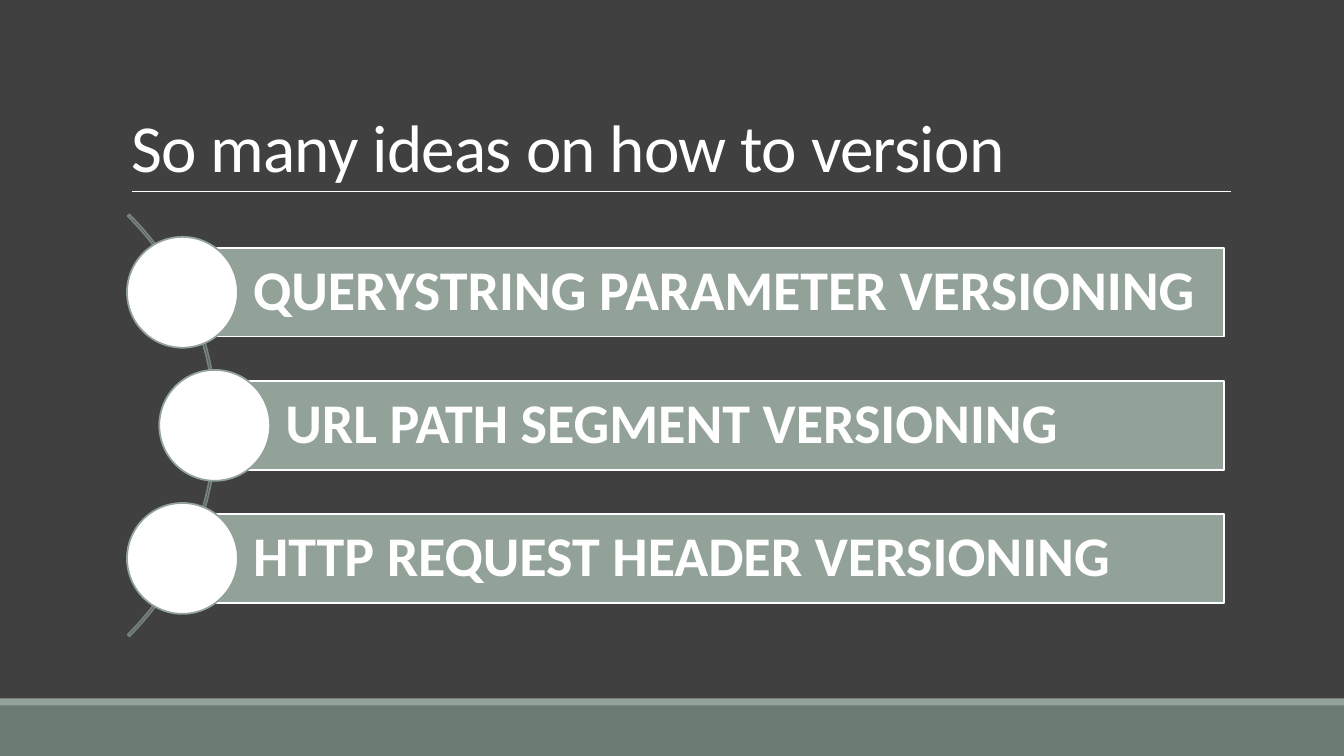
"""Build a slide that lists three ways to version an API."""
from dataclasses import dataclass

from lxml import etree
from pptx import Presentation
from pptx.dml.color import RGBColor
from pptx.enum.shapes import MSO_CONNECTOR, MSO_SHAPE
from pptx.enum.text import MSO_ANCHOR, MSO_AUTO_SIZE, PP_ALIGN
from pptx.oxml.ns import qn
from pptx.util import Inches, Pt

RECTANGLE, OVAL, BLOCK_ARC = MSO_SHAPE.RECTANGLE, MSO_SHAPE.OVAL, MSO_SHAPE.BLOCK_ARC
STRAIGHT = MSO_CONNECTOR.STRAIGHT
MIDDLE, BOTTOM = MSO_ANCHOR.MIDDLE, MSO_ANCHOR.BOTTOM
LEFT, NO_AUTOFIT = PP_ALIGN.LEFT, MSO_AUTO_SIZE.NONE

BACKGROUND, WHITE, SAGE, DARK_SAGE, ARC_GRAY = "404040", "FFFFFF", "93A299", "6B7D72", "76827B"
SLIDE_WIDTH, SLIDE_HEIGHT = 13.33, 7.5
BAR_RIGHT, BAR_HEIGHT = 12.14, 0.88
FIRST_CENTER, ROW_STEP = 2.9, 1.32
CIRCLE_SIZE = 1.1


@dataclass
class Idea:
    """A versioning idea and the horizontal center of its circle."""
    label: str
    center: float


IDEAS = [
    Idea("QUERYSTRING PARAMETER VERSIONING", 1.81),
    Idea("URL PATH SEGMENT VERSIONING", 2.13),
    Idea("HTTP REQUEST HEADER VERSIONING", 1.81),
]


def color(value: str) -> RGBColor:
    """Turn a hex string into a color."""
    return RGBColor.from_string(value)


def apply_format(target, values: dict) -> None:
    """Set each named attribute on the target."""
    for name, value in values.items():
        setattr(target, name, value)


def add_shape(slide, kind, left: float, top: float, width: float, height: float,
              fill: str | None = None, line: str | None = None):
    """Add a shadowless shape with an optional fill and outline."""
    shape = slide.shapes.add_shape(kind, Inches(left), Inches(top), Inches(width), Inches(height))
    shape.shadow.inherit = False
    if fill:
        shape.fill.solid()
        shape.fill.fore_color.rgb = color(fill)
    else:
        shape.fill.background()
    if line:
        shape.line.color.rgb = color(line)
        shape.line.width = Pt(1.25)
    else:
        shape.line.fill.background()
    return shape


def write_text(shape, text: str, frame_values: dict, line_spacing: float, font_values: dict):
    """Write one left-aligned white line of text and return its run."""
    apply_format(shape.text_frame, {"word_wrap": True, "auto_size": NO_AUTOFIT} | frame_values)
    paragraph = shape.text_frame.paragraphs[0]
    apply_format(paragraph, {"alignment": LEFT, "line_spacing": line_spacing})
    run = paragraph.add_run()
    run.text = text
    apply_format(run.font, {"name": "Calibri"} | font_values)
    run.font.color.rgb = color(WHITE)
    return run


def add_title(slide, text: str) -> None:
    """Place the title and the rule under it."""
    title = slide.shapes.title
    apply_format(title, {"left": Inches(1.2), "top": Inches(0.31),
                         "width": Inches(11), "height": Inches(1.59)})
    run = write_text(title, text, {"vertical_anchor": BOTTOM}, 0.85, {"size": Pt(48)})
    run.font._element.set("spc", "-50")
    rule = slide.shapes.add_connector(STRAIGHT, Inches(1.31), Inches(1.9), Inches(12.21), Inches(1.9))
    rule.line.color.rgb = color(WHITE)
    rule.line.width = Pt(0.5)
    etree.SubElement(rule._element.spPr, qn("a:effectLst"))


def add_arc(slide) -> None:
    """Add the thin arc that links the circles."""
    arc = add_shape(slide, BLOCK_ARC, -3.77, 1.26, 5.92, 5.92, line=ARC_GRAY)
    for index, value in enumerate((189, 27, 0.004)):
        arc.adjustments[index] = value


def add_idea(slide, idea: Idea, middle: float) -> None:
    """Add a labelled bar with a circle on its left end."""
    bar = add_shape(slide, RECTANGLE, idea.center, middle - BAR_HEIGHT / 2,
                    BAR_RIGHT - idea.center, BAR_HEIGHT, SAGE, WHITE)
    margins = {f"margin_{side}": Inches(0.11) for side in ("top", "right", "bottom")}
    write_text(bar, idea.label, margins | {"margin_left": Inches(0.7), "vertical_anchor": MIDDLE},
               0.9, {"size": Pt(40), "bold": True})
    add_shape(slide, OVAL, idea.center - CIRCLE_SIZE / 2, middle - CIRCLE_SIZE / 2,
              CIRCLE_SIZE, CIRCLE_SIZE, WHITE, SAGE)


def main() -> None:
    """Build and save the presentation."""
    presentation = Presentation()
    apply_format(presentation, {"slide_width": Inches(SLIDE_WIDTH),
                                "slide_height": Inches(SLIDE_HEIGHT)})
    slide = presentation.slides.add_slide(presentation.slide_layouts.get_by_name("Title Only"))
    slide.background.fill.solid()
    slide.background.fill.fore_color.rgb = color(BACKGROUND)
    add_shape(slide, RECTANGLE, 0, 7, SLIDE_WIDTH, 0.5, DARK_SAGE)
    add_shape(slide, RECTANGLE, 0, 6.93, SLIDE_WIDTH, 0.07, SAGE)
    add_title(slide, "So many ideas on how to version")
    add_arc(slide)
    for row, idea in enumerate(IDEAS):
        add_idea(slide, idea, FIRST_CENTER + row * ROW_STEP)
    presentation.save("out.pptx")


main()
